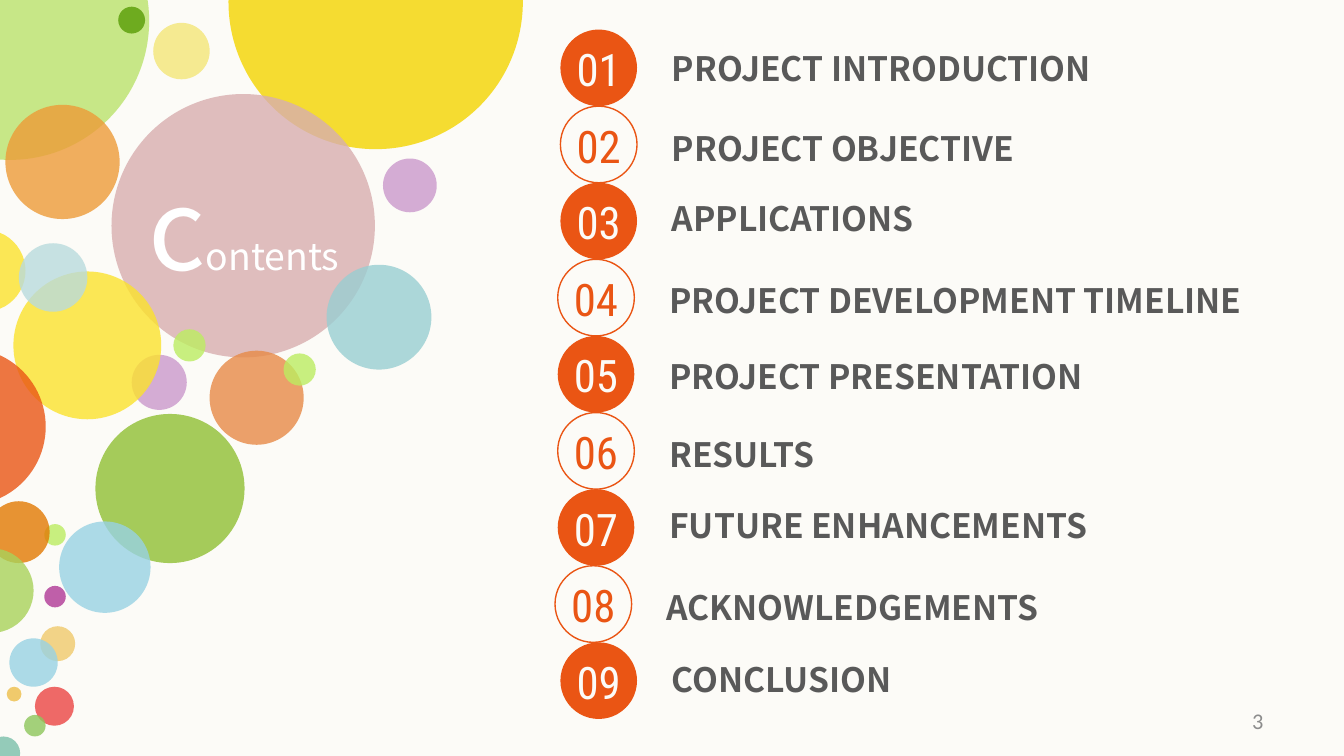
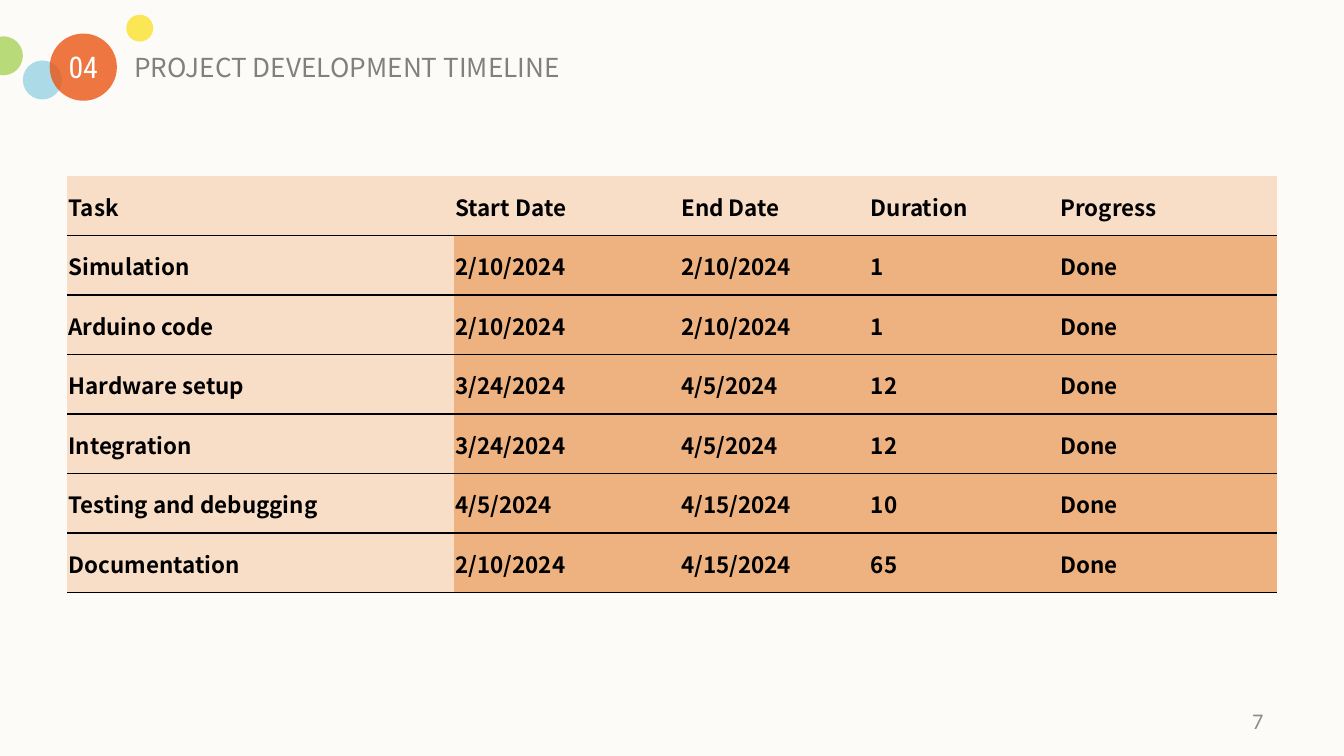
from lxml.etree import SubElement
from pptx import Presentation
from pptx.dml.color import RGBColor
from pptx.enum.shapes import MSO_SHAPE as Shape
from pptx.enum.text import MSO_ANCHOR as Anchor, MSO_AUTO_SIZE as AutoSize, PP_ALIGN as Align
from pptx.oxml.ns import qn
from pptx.util import Inches, Pt

CREAM = RGBColor(0xFC, 0xFB, 0xF7)
WHITE = RGBColor(0xFF, 0xFF, 0xFF)
BLACK = RGBColor(0x00, 0x00, 0x00)
DARK_GREY = RGBColor(0x59, 0x59, 0x59)
TITLE_GREY = RGBColor(0x80, 0x80, 0x80)
FOOTER_GREY = RGBColor(0x8C, 0x8C, 0x8C)
ORANGE = RGBColor(0xEA, 0x55, 0x14)
AMBER = RGBColor(0xED, 0x9B, 0x38)
COPPER = RGBColor(0xE7, 0x8A, 0x47)
RUST = RGBColor(0xE2, 0x79, 0x02)
SAND = RGBColor(0xF0, 0xCA, 0x6C)
GOLD = RGBColor(0xF4, 0xD5, 0x00)
YELLOW = RGBColor(0xFB, 0xE2, 0x2D)
PALE_YELLOW = RGBColor(0xF5, 0xEA, 0x91)
LIME = RGBColor(0xBC, 0xED, 0x61)
SOFT_LIME = RGBColor(0xBA, 0xE3, 0x6B)
GREEN = RGBColor(0xA9, 0xD2, 0x5A)
LEAF = RGBColor(0xA5, 0xCB, 0x5A)
GRASS = RGBColor(0x8D, 0xC6, 0x5B)
FOREST = RGBColor(0x6E, 0xAB, 0x1F)
JADE = RGBColor(0x7B, 0xBF, 0xAA)
TEAL = RGBColor(0x99, 0xCE, 0xD2)
MIST = RGBColor(0xB9, 0xDB, 0xDD)
SKY = RGBColor(0x98, 0xD2, 0xE3)
ROSE = RGBColor(0xD8, 0xAE, 0xAF)
LILAC = RGBColor(0xCB, 0x99, 0xCC)
MAGENTA = RGBColor(0xB0, 0x38, 0x96)
RED = RGBColor(0xEB, 0x45, 0x44)
PALE_CELL = RGBColor(0xF9, 0xDE, 0xC7)
DEEP_CELL = RGBColor(0xED, 0xB2, 0x80)

SANS = "Noto Sans CJK SC"
CONDENSED = "Roboto Condensed"
FOOTER_FONT = "Calibri"

COVER_BUBBLES = [
    (-0.96, -0.88, 2.07, SOFT_LIME, 80), (0.88, 0.05, 0.2, FOREST, 100),
    (0.04, 0.78, 0.85, AMBER, 80), (1.14, 0.17, 0.42, PALE_YELLOW, 100),
    (1.7, -1.08, 2.19, GOLD, 80), (0.83, 0.7, 1.96, ROSE, 80),
    (2.43, 1.97, 0.78, TEAL, 80), (2.85, 1.18, 0.4, LILAC, 80),
    (1.56, 2.61, 0.7, COPPER, 80), (0.71, 3.08, 1.11, LEAF, 100),
    (2.11, 2.63, 0.24, LIME, 80), (1.29, 2.45, 0.24, LIME, 80),
    (0.98, 2.64, 0.41, LILAC, 80), (0.1, 2.02, 1.1, YELLOW, 80),
    (-0.42, 1.71, 0.61, YELLOW, 80), (0.33, 3.9, 0.16, LIME, 80),
    (0.33, 4.36, 0.16, MAGENTA, 80), (0.3, 4.66, 0.26, SAND, 80),
    (0.05, 5.11, 0.11, SAND, 100), (-0.1, 5.48, 0.25, JADE, 80),
    (0.26, 5.11, 0.29, RED, 80), (0.18, 5.32, 0.16, GRASS, 80),
    (0.07, 4.75, 0.36, SKY, 80), (0.14, 1.81, 0.51, MIST, 80),
    (0.44, 3.88, 0.68, SKY, 80), (-0.09, 3.73, 0.46, RUST, 80),
    (-0.38, 4.08, 0.63, GREEN, 80), (-0.83, 2.59, 1.17, ORANGE, 80),
]
HEADER_BUBBLES = [
    (0.94, 0.11, 0.2, YELLOW, 80), (-0.12, 0.27, 0.29, GREEN, 80),
    (0.17, 0.45, 0.29, SKY, 80), (0.37, 0.25, 0.5, ORANGE, 80),
]
AGENDA = [
    (0.02, 0.14, "PROJECT INTRODUCTION"),
    (0.02, 0.16, "PROJECT OBJECTIVE"),
    (0.02, 0.11, "APPLICATIONS"),
    (0, 0.15, "PROJECT DEVELOPMENT TIMELINE"),
    (0, 0.15, "PROJECT PRESENTATION"),
    (0, 0.16, "RESULTS"),
    (0, 0.12, "FUTURE ENHANCEMENTS"),
    (-0.02, 0.16, "ACKNOWLEDGEMENTS"),
    (0.02, 0.12, "CONCLUSION"),
]
TASKS = [
    ("Task", "Start Date", "End Date", "Duration", "Progress"),
    ("Simulation", "2/10/2024", "2/10/2024", "1", "Done"),
    ("Arduino code", "2/10/2024", "2/10/2024", "1", "Done"),
    ("Hardware setup", "3/24/2024", "4/5/2024", "12", "Done"),
    ("Integration", "3/24/2024", "4/5/2024", "12", "Done"),
    ("Testing and debugging", "4/5/2024", "4/15/2024", "10", "Done"),
    ("Documentation", "2/10/2024", "4/15/2024", "65", "Done"),
]
COLUMN_WIDTHS = (2.88, 1.68, 1.41, 1.41, 1.62)


def style_run(run, size, color, font=SANS, bold=False):
    """Set the font of one run."""
    run.font.name = font
    run.font.size = Pt(size)
    run.font.bold = bold
    run.font.color.rgb = color


def add_text(slide, box, text, size, color, font=SANS, bold=False, align=Align.LEFT):
    """Add a one-style text box without insets that grows with its text."""
    shape = slide.shapes.add_textbox(*map(Inches, box))
    frame = shape.text_frame
    frame.margin_left = frame.margin_top = frame.margin_right = frame.margin_bottom = 0
    frame.word_wrap = True
    frame.auto_size = AutoSize.SHAPE_TO_FIT_TEXT
    frame.text = text
    paragraph = frame.paragraphs[0]
    paragraph.alignment = align
    style_run(paragraph.runs[0], size, color, font, bold)
    return shape


def add_circle(slide, left, top, diameter, color, opacity=100, outlined=False):
    """Add a filled or outlined circle."""
    shape = slide.shapes.add_shape(Shape.OVAL, *map(Inches, (left, top, diameter, diameter)))
    shape.shadow.inherit = False
    if outlined:
        shape.fill.background()
        shape.line.color.rgb = color
        shape.line.width = Pt(0.75)
        return
    shape.fill.solid()
    shape.fill.fore_color.rgb = color
    shape.line.fill.background()
    if opacity < 100:
        color_element = shape.element.spPr.find(qn("a:solidFill"))[0]
        SubElement(color_element, qn("a:alpha"), val=str(opacity * 1000))


def add_bubbles(slide, left, top, bubbles):
    """Scatter circles from a corner of the slide."""
    for x, y, diameter, color, opacity in bubbles:
        add_circle(slide, left + x, top + y, diameter, color, opacity)


def add_page(presentation, number):
    """Add a slide with the shared background and page number."""
    slide = presentation.slides.add_slide(presentation.slide_layouts[6])
    slide.background.fill.solid()
    slide.background.fill.fore_color.rgb = CREAM
    shape = add_text(slide, (7.17, 5.21, 2.33, 0.3), str(number), 12, FOOTER_GREY,
                     FOOTER_FONT, align=Align.RIGHT)
    frame = shape.text_frame
    frame.auto_size = AutoSize.NONE
    frame.margin_left = frame.margin_right = Inches(0.1)
    frame.margin_top = frame.margin_bottom = Inches(0.05)
    frame.vertical_anchor = Anchor.MIDDLE
    return slide


def add_cover_word(slide, box):
    """Write the contents heading with a large initial."""
    shape = add_text(slide, box, "c", 60, WHITE, align=Align.CENTER)
    rest = shape.text_frame.paragraphs[0].add_run()
    rest.text = "ontents"
    style_run(rest, 20, WHITE)


def add_agenda(slide, left, top, pitch):
    """List the numbered sections, alternating filled and outlined circles."""
    for index, (shift, drop, title) in enumerate(AGENDA):
        x, y = left + shift, top + index * pitch
        outlined = index % 2 == 1
        add_circle(slide, x, y, pitch, ORANGE, outlined=outlined)
        add_text(slide, (x, y + 0.09, pitch, 0.4), f"{index + 1:02}", 24,
                 ORANGE if outlined else CREAM, CONDENSED, align=Align.CENTER)
        add_text(slide, (x + 0.83, y + drop, 4.5, 0.3), title, 18, DARK_GREY, bold=True)


def add_header(slide, left, top, number, title):
    """Place the bubbles, section number and title at the head of a slide."""
    add_bubbles(slide, left, top, HEADER_BUBBLES)
    add_text(slide, (left + 0.44, top + 0.36, 0.36, 0.27), number, 16, WHITE,
             CONDENSED, align=Align.CENTER)
    add_text(slide, (left + 1, top + 0.38, 8.47, 0.24), title, 14, TITLE_GREY)


def set_borders(cell, ruled_sides):
    """Rule the given sides of a cell in black and clear the others."""
    properties = cell._tc.get_or_add_tcPr()
    for side in "LRTB":
        line = SubElement(properties, qn(f"a:ln{side}"), w=str(Pt(1)))
        if side in ruled_sides:
            fill = SubElement(line, qn("a:solidFill"))
            SubElement(fill, qn("a:srgbClr"), val=str(BLACK))
        else:
            SubElement(line, qn("a:noFill"))


def add_task_table(slide, box):
    """Build the task table with a pale header row and first column."""
    frame = slide.shapes.add_table(len(TASKS), len(COLUMN_WIDTHS), *map(Inches, box))
    table = frame.table
    for column, width in zip(table.columns, COLUMN_WIDTHS):
        column.width = Inches(width)
    for row_index, values in enumerate(TASKS):
        for column_index, value in enumerate(values):
            cell = table.cell(row_index, column_index)
            set_borders(cell, "TB" if row_index else "B")
            cell.fill.solid()
            cell.fill.fore_color.rgb = DEEP_CELL if row_index and column_index else PALE_CELL
            cell.margin_left = cell.margin_top = cell.margin_right = Inches(0.01)
            cell.margin_bottom = 0
            cell.vertical_anchor = Anchor.MIDDLE
            cell.text_frame.text = value
            style_run(cell.text_frame.paragraphs[0].runs[0], 12, BLACK, bold=True)


def build_contents(presentation):
    """Build the contents slide."""
    slide = add_page(presentation, 3)
    add_bubbles(slide, 0, 0, COVER_BUBBLES)
    add_cover_word(slide, (1.06, 1.18, 1.51, 1.01))
    add_agenda(slide, 4.15, 0.22, 0.57)


def build_timeline(presentation):
    """Build the project timeline slide."""
    slide = add_page(presentation, 7)
    add_header(slide, 0, 0, "04", "PROJECT DEVELOPMENT TIMELINE")
    add_task_table(slide, (0.5, 1.31, 9, 3.1))


def main():
    """Build and save the presentation."""
    presentation = Presentation()
    presentation.slide_width = Inches(10)
    presentation.slide_height = presentation.slide_width * 9 // 16
    build_contents(presentation)
    build_timeline(presentation)
    presentation.save("out.pptx")


if __name__ == "__main__":
    main()
